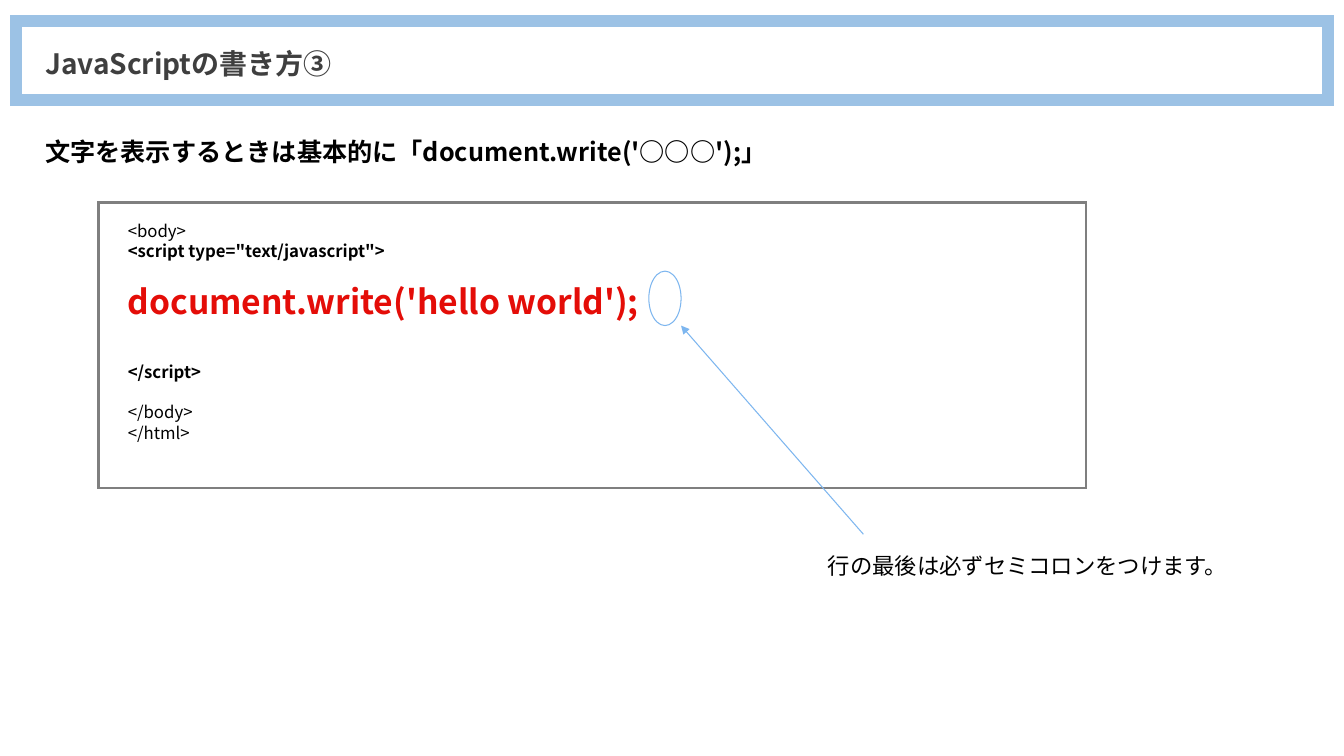
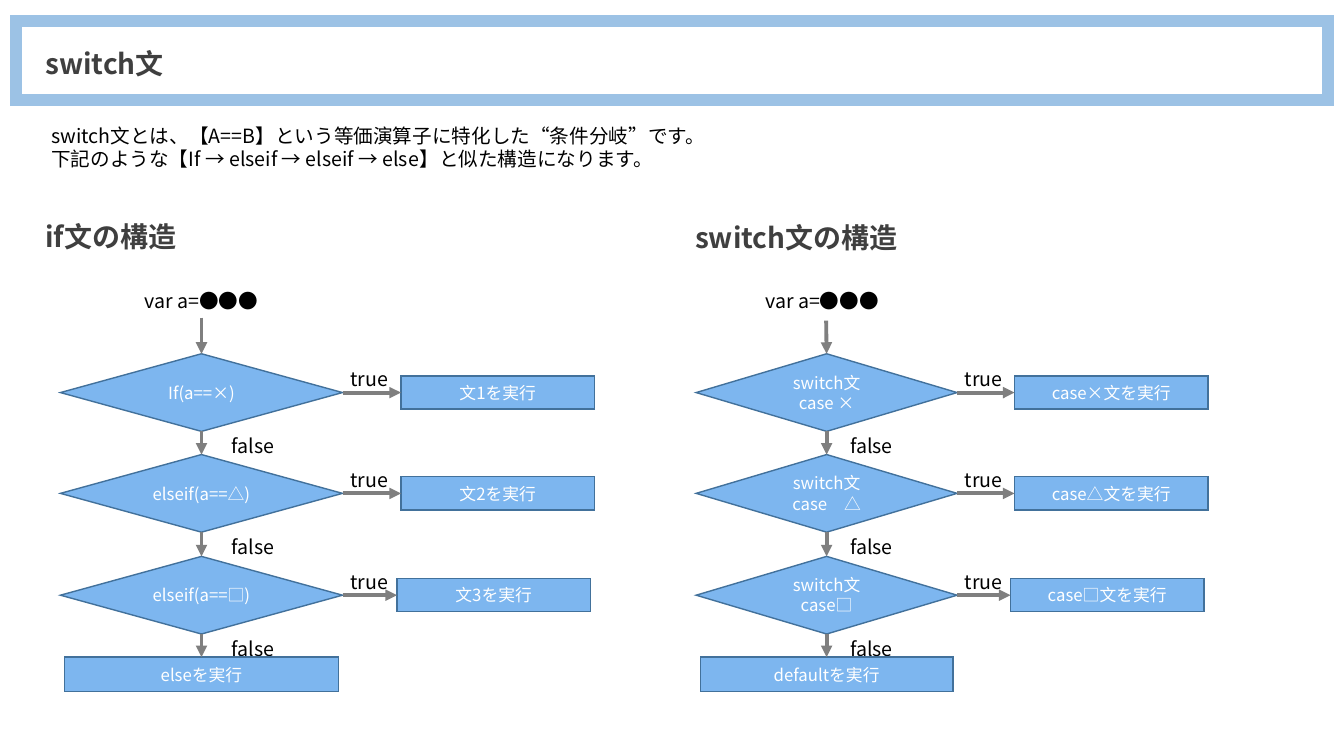
from dataclasses import dataclass

from lxml import etree
from pptx import Presentation
from pptx.dml.color import RGBColor
from pptx.enum.shapes import MSO_CONNECTOR, MSO_SHAPE
from pptx.enum.text import MSO_ANCHOR, PP_ALIGN
from pptx.oxml.ns import qn
from pptx.util import Emu, Pt

PX = 9144  # 100 px to the inch
FONT = "Noto Sans CJK JP"

WHITE = RGBColor(0xFF, 0xFF, 0xFF)
BLACK = RGBColor(0x00, 0x00, 0x00)
INK = RGBColor(0x3F, 0x3F, 0x3F)
GRAY = RGBColor(0x7F, 0x7F, 0x7F)
RED = RGBColor(0xE4, 0x0D, 0x08)
PALE = RGBColor(0x9C, 0xC2, 0xE5)
BLUE = RGBColor(0x7D, 0xB6, 0xEF)
EDGE = RGBColor(0x42, 0x71, 0x9B)

RECT, DIAMOND, OVAL = MSO_SHAPE.RECTANGLE, MSO_SHAPE.DIAMOND, MSO_SHAPE.OVAL
LINE = MSO_CONNECTOR.STRAIGHT
LEFT, CENTER = PP_ALIGN.LEFT, PP_ALIGN.CENTER
TOP, MIDDLE = MSO_ANCHOR.TOP, MSO_ANCHOR.MIDDLE

TITLE = {"size": Pt(20), "bold": True, "color": INK}
LEAD = {"size": Pt(18), "bold": True, "color": BLACK}
NOTE = {"size": Pt(16), "color": BLACK}
BODY = {"size": Pt(14), "color": BLACK}
STEP = {"size": Pt(12), "color": WHITE}
CODE = {"size": Pt(12), "color": BLACK}
TAG = {**CODE, "bold": True}
CALL = {"size": Pt(24), "bold": True, "color": RED}

ROW, DROP = 351, 201  # first row, and the drop over two rows
TEST_H, ACT_W, ACT_H = 77, 192, 33


@dataclass(frozen=True)
class Box:
    x: int
    y: int
    w: int
    h: int

    def emu(self) -> list[Emu]:
        return [Emu(v * PX) for v in (self.x, self.y, self.w, self.h)]


@dataclass(frozen=True)
class Para:
    text: str
    look: dict
    gap: float = 0


@dataclass(frozen=True)
class Flow:
    title: str
    head: Box
    start: Box
    top: int
    x: int
    w: int
    act_x: int
    false_x: int
    false_w: int
    tests: tuple[str, ...]
    acts: tuple[str, ...]
    last: str


def lines(text: str, look: dict) -> list[Para]:
    return [Para(line, look) for line in text.split("\n")]


def write(shape, paras: list[Para], align=LEFT, anchor=TOP, space=1.0) -> None:
    frame = shape.text_frame
    frame.word_wrap = True
    frame.vertical_anchor = anchor
    for i, item in enumerate(paras):
        para = frame.add_paragraph() if i else frame.paragraphs[0]
        para.alignment = align
        para.line_spacing = space
        para.space_before = Pt(item.gap)
        run = para.add_run()
        run.text = item.text
        run.font.name = FONT
        for key, val in item.look.items():
            if key == "color":
                run.font.color.rgb = val
            else:
                setattr(run.font, key, val)
        east = etree.SubElement(run.font._element, qn("a:ea"))
        east.set("typeface", FONT)


def label(slide, box: Box, paras: list[Para], align=LEFT, space=1.0) -> None:
    write(slide.shapes.add_textbox(*box.emu()), paras, align, space=space)


def draw(slide, kind, box: Box, fill=None, edge=None, width: float = 1):
    shape = slide.shapes.add_shape(kind, *box.emu())
    shape.shadow.inherit = False
    if fill is None:
        shape.fill.background()
    else:
        shape.fill.solid()
        shape.fill.fore_color.rgb = fill
    if edge is None:
        shape.line.fill.background()
    else:
        shape.line.color.rgb = edge
        shape.line.width = Pt(width)
        join = etree.SubElement(shape.line._get_or_add_ln(), qn("a:miter"))
        join.set("lim", "800000")
    return shape


def arrow(slide, x1: int, y1: int, x2: int, y2: int, color=GRAY, width=2.75):
    link = slide.shapes.add_connector(
        LINE, *[Emu(v * PX) for v in (x1, y1, x2, y2)])
    link.line.color.rgb = color
    link.line.width = Pt(width)
    tip = etree.SubElement(link.line._get_or_add_ln(), qn("a:tailEnd"))
    tip.set("type", "triangle")
    etree.SubElement(link._element.spPr, qn("a:effectLst"))
    return link


def join(slide, a, a_site: int, b, b_site: int) -> None:
    link = arrow(slide, 0, 0, 0, 0)
    link.begin_connect(a, a_site)
    link.end_connect(b, b_site)


def head(slide, box: Box, text: str) -> None:
    write(draw(slide, RECT, box, WHITE), lines(text, TITLE), anchor=MIDDLE)


def page(deck, title: str):
    """Add a blank slide with the framed title."""
    slide = deck.slides.add_slide(deck.slide_layouts[6])
    head(slide, Box(35, 34, 1264, 57), title)
    draw(slide, RECT, Box(16, 21, 1302, 78), edge=PALE, width=8.75)
    return slide


def step(slide, kind, box: Box, text: str):
    shape = draw(slide, kind, box, BLUE, EDGE)
    write(shape, lines(text, STEP), CENTER, MIDDLE)
    return shape


def chart(slide, flow: Flow) -> None:
    """Draw the tests downwards, each with its action on the right."""
    head(slide, flow.head, flow.title)
    label(slide, flow.start, lines("var a=●●●", BODY), CENTER)
    mid = flow.x + flow.w // 2
    prev = None
    for i, (test, act) in enumerate(zip(flow.tests, flow.acts)):
        y = ROW + i * DROP // 2
        shift = 4 if i == len(flow.tests) - 1 else 0
        cond = step(slide, DIAMOND, Box(flow.x, y, flow.w, TEST_H), test)
        todo = Box(flow.act_x - shift, y + (TEST_H - ACT_H) // 2, ACT_W, ACT_H)
        join(slide, cond, 3, step(slide, RECT, todo, act), 1)
        if prev is None:
            arrow(slide, mid, flow.top, mid, y).end_connect(cond, 0)
        else:
            join(slide, prev, 2, cond, 0)
        label(slide, Box(flow.x + flow.w - 20, y + 8, 93, 28),
              lines("true", BODY), CENTER)
        label(slide, Box(flow.false_x, y + 75, flow.false_w, 28),
              lines("false", BODY), CENTER)
        prev = cond
    y = ROW + len(flow.tests) * DROP // 2
    end = step(slide, RECT, Box(flow.x + 4, y, flow.w - 8, 34), flow.last)
    join(slide, prev, 2, end, 0)


def code_page(deck) -> None:
    slide = page(deck, "JavaScriptの書き方③")
    label(slide, Box(35, 115, 1010, 55), lines(
        "文字を表示するときは基本的に「document.write('○○○');」", LEAD), space=1.5)
    draw(slide, RECT, Box(98, 201, 980, 283), edge=GRAY, width=1.75)
    label(slide, Box(117, 214, 603, 230), [
        Para("<body>", CODE),
        Para('<script type="text/javascript">', TAG),
        Para("document.write('hello world');", CALL, 14.4),
        Para("</script>", TAG, 28.8),
        Para("</body>", CODE, 14.4),
        Para("</html>", CODE),
    ])
    draw(slide, OVAL, Box(644, 269, 32, 54), edge=BLUE, width=0.75)
    arrow(slide, 857, 530, 676, 323, BLUE, 0.75)
    label(slide, Box(812, 530, 487, 50),
          lines("行の最後は必ずセミコロンをつけます。", NOTE), space=1.5)


def flow_page(deck) -> None:
    slide = page(deck, "switch文")
    label(slide, Box(41, 118, 1178, 106), lines(
        "switch文とは、【A==B】という等価演算子に特化した“条件分岐”です。\n"
        "下記のような【If → elseif → elseif → else】と似た構造になります。", BODY))
    flows = (
        Flow("if文の構造", Box(35, 206, 185, 57), Box(102, 282, 196, 34), 315,
             60, 280, 398, 196, 110,
             ("If(a==×)", "elseif(a==△)", "elseif(a==□)"),
             ("文1を実行", "文2を実行", "文3を実行"), "elseを実行"),
        Flow("switch文の構造", Box(680, 207, 472, 57), Box(739, 282, 154, 34),
             318, 691, 259, 1007, 814, 102,
             ("switch文\ncase ×", "switch文\ncase　△", "switch文\ncase□"),
             ("case×文を実行", "case△文を実行", "case□文を実行"),
             "defaultを実行"),
    )
    for flow in flows:
        chart(slide, flow)


def main() -> None:
    deck = Presentation()
    deck.slide_width, deck.slide_height = Emu(1334 * PX), Emu(750 * PX)
    code_page(deck)
    flow_page(deck)
    deck.save("out.pptx")


if __name__ == "__main__":
    main()
